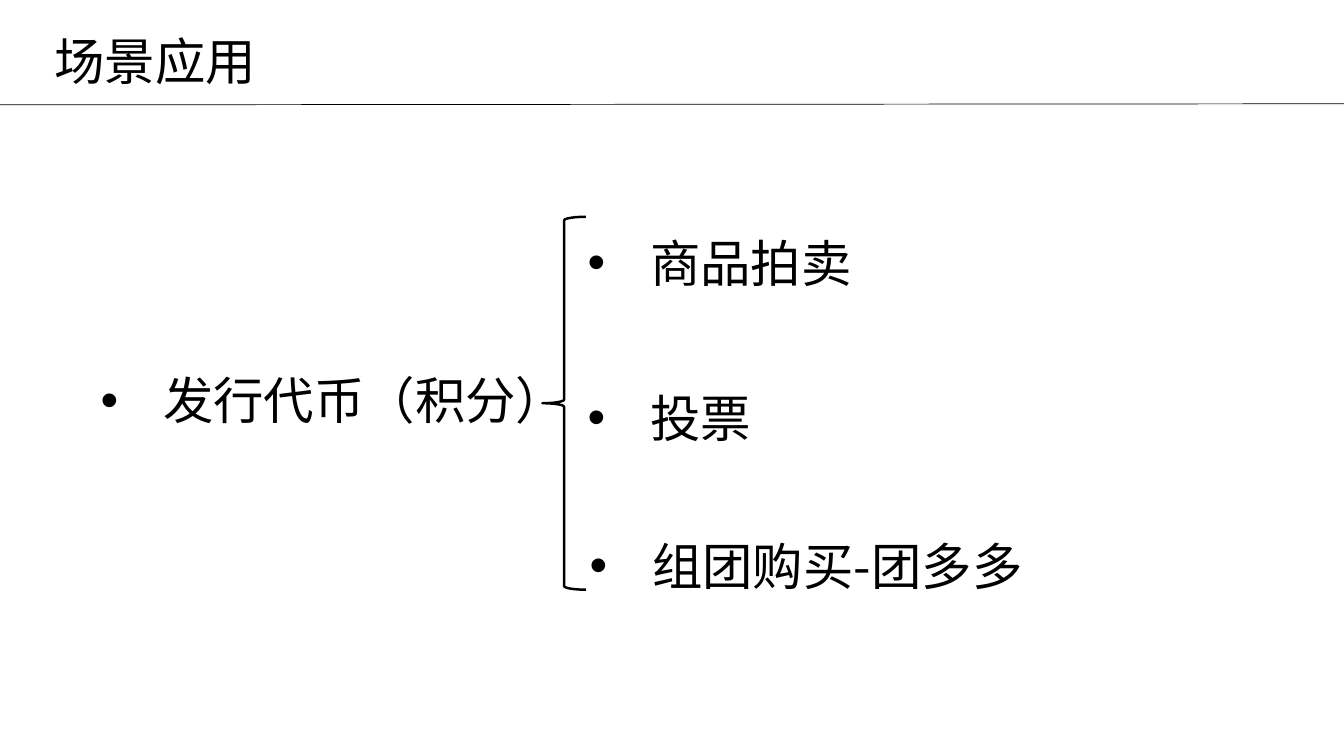
import pptx
import pptx.util
import pptx.dml.color
import pptx.enum.shapes
import pptx.enum.text
import pptx.oxml.ns
import lxml.etree

theme = {
    "ink": pptx.dml.color.RGBColor(0, 0, 0),
    "font": "Noto Sans CJK SC",
    "size": pptx.util.Pt(36),
    "rule": pptx.util.Pt(0.5),
    "brace": pptx.util.Pt(1.75),
}
qn = pptx.oxml.ns.qn

deck = pptx.Presentation()
deck.slide_width = pptx.util.Inches(13.33)
deck.slide_height = pptx.util.Inches(7.5)
slide = deck.slides.add_slide(deck.slide_layouts[6])
col = deck.slide_width / 100
row = deck.slide_height / 100


def place(left, top, wide, high):
    return int(left * col), int(top * row), int(wide * col), int(high * row)


def write(text, box, item):
    frame = slide.shapes.add_textbox(*place(*box)).text_frame
    frame.word_wrap = True
    para = frame.paragraphs[0]
    para.text = text
    para.font.name = theme["font"]
    para.font.size = theme["size"]
    para.font.color.rgb = theme["ink"]
    props = para._p.get_or_add_pPr()
    base = props.find(qn("a:defRPr"))
    lxml.etree.SubElement(base, qn("a:ea"), typeface=theme["font"])
    if not item:
        frame.auto_size = pptx.enum.text.MSO_AUTO_SIZE.SHAPE_TO_FIT_TEXT
        return
    frame.vertical_anchor = pptx.enum.text.MSO_ANCHOR.MIDDLE
    para.line_spacing = 1.5
    para.space_before = pptx.util.Pt(20)
    para.space_after = pptx.util.Pt(15)
    dent = pptx.util.Inches(0.62)
    props.set("marL", str(dent))
    props.set("indent", str(-dent))
    for tag, key, value in (("a:buFont", "typeface", "Arial"), ("a:buChar", "char", "•")):
        mark = lxml.etree.Element(qn(tag))
        mark.set(key, value)
        base.addprevious(mark)


left, top, wide, high = place(0, 13.87, 100, -0.14)
rule = slide.shapes.add_connector(
    pptx.enum.shapes.MSO_CONNECTOR.STRAIGHT, left, top, left + wide, top + high)
rule.line.color.rgb = theme["ink"]
rule.line.width = theme["rule"]
lxml.etree.SubElement(rule._element.spPr, qn("a:effectLst"))

write("场景应用", (3.3, 3.33, 62.11, 9.47), False)
write("发行代币（积分）", (6.75, 16.8, 75, 68.13), True)
for text, left, top in (
    ("商品拍卖", 42.98, 26),
    ("投票", 42.98, 46.53),
    ("组团购买-团多多", 43.13, 66.13),
):
    write(text, (left, top, 75, 13.33), True)

brace = slide.shapes.add_shape(
    pptx.enum.shapes.MSO_SHAPE.LEFT_BRACE, *place(40.36, 28.67, 3.23, 49.33))
brace.shadow.inherit = False
brace.fill.background()
brace.line.color.rgb = theme["ink"]
brace.line.width = theme["brace"]

deck.save("out.pptx")
